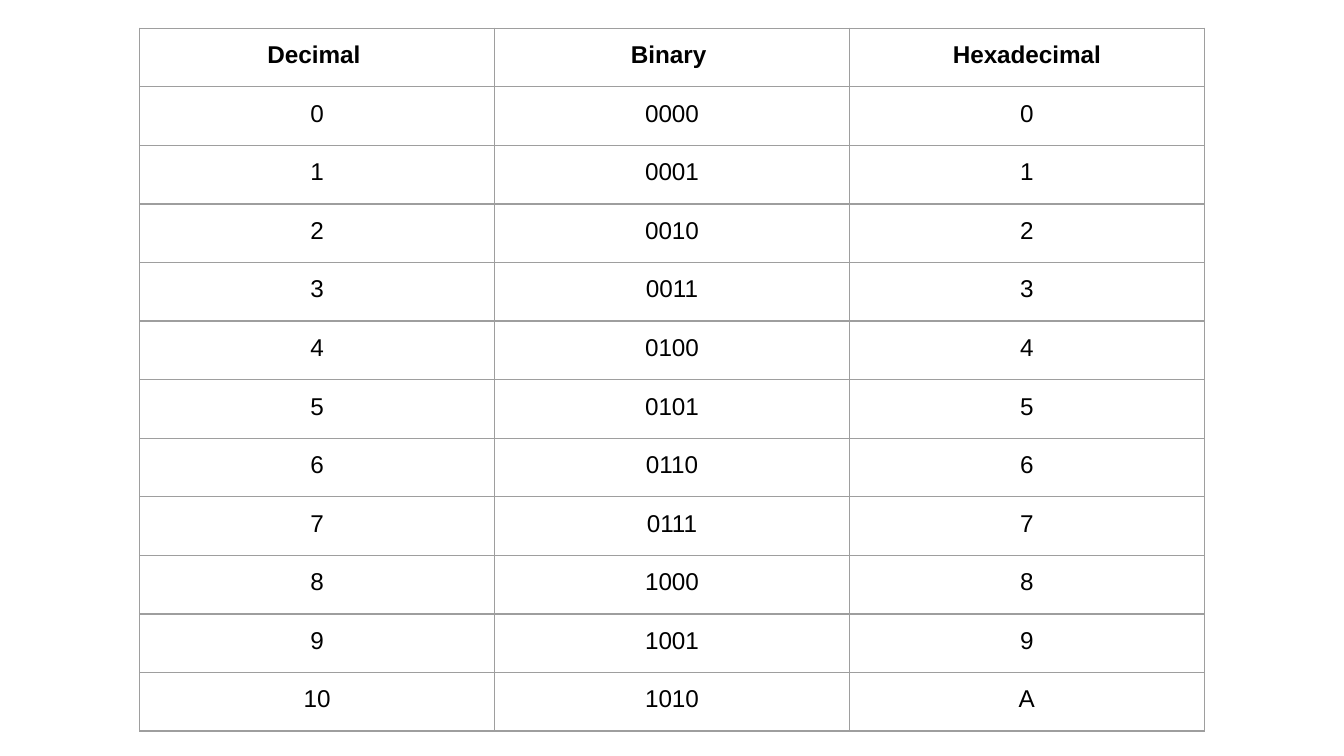
import dataclasses

import lxml.etree
import pptx
import pptx.dml.color
import pptx.enum.text
import pptx.oxml.ns
import pptx.slide
import pptx.table
import pptx.util

Inches = pptx.util.Inches
Pt = pptx.util.Pt

COLORS = {"text": "000000", "border": "9E9E9E"}
FONT = "Arial"
SLIDE_WIDTH = 10
HEADINGS = ("Decimal ", "Binary ", "Hexadecimal")
LAST_NUMBER = 10


@dataclasses.dataclass
class TableRow:
    texts: tuple[str, ...]
    bold: bool = False


@dataclasses.dataclass
class Grid:
    left: float
    top: float
    column_width: float
    height: float


def add_borders(cell: pptx.table._Cell) -> None:
    """Draw a thin line on all four sides; lines must precede the fill."""
    properties = cell._tc.get_or_add_tcPr()
    for position, side in enumerate(("lnL", "lnR", "lnT", "lnB")):
        line = lxml.etree.Element(pptx.oxml.ns.qn(f"a:{side}"), w=str(Pt(0.75)))
        fill = lxml.etree.SubElement(line, pptx.oxml.ns.qn("a:solidFill"))
        lxml.etree.SubElement(
            fill, pptx.oxml.ns.qn("a:srgbClr"), val=COLORS["border"]
        )
        properties.insert(position, line)


def fill_cell(cell: pptx.table._Cell, text: str, bold: bool) -> None:
    cell.fill.background()
    cell.margin_left = cell.margin_right = Inches(0.1)
    cell.margin_top = cell.margin_bottom = Inches(0.1)
    add_borders(cell)
    para = cell.text_frame.paragraphs[0]
    para.alignment = pptx.enum.text.PP_ALIGN.CENTER
    span = para.add_run()
    span.text = text
    span.font.name = FONT
    span.font.size = Pt(13)
    span.font.bold = bold
    span.font.color.rgb = pptx.dml.color.RGBColor.from_string(COLORS["text"])


def add_number_table(
    page: pptx.slide.Slide, rows: list[TableRow], grid: Grid
) -> None:
    column_count = len(rows[0].texts)
    table = page.shapes.add_table(
        len(rows),
        column_count,
        Inches(grid.left),
        Inches(grid.top),
        Inches(grid.column_width * column_count),
        Inches(grid.height),
    ).table
    table.first_row = False
    table.horz_banding = False
    for column in table.columns:
        column.width = Inches(grid.column_width)
    for row_index, row in enumerate(rows):
        table.rows[row_index].height = Inches(grid.height / len(rows))
        for column_index, text in enumerate(row.texts):
            fill_cell(table.cell(row_index, column_index), text, row.bold)


def main() -> None:
    deck = pptx.Presentation()
    deck.slide_width = Inches(SLIDE_WIDTH)
    deck.slide_height = Inches(SLIDE_WIDTH * 9 / 16)
    page = deck.slides.add_slide(deck.slide_layouts[6])
    rows = [TableRow(HEADINGS, bold=True)]
    rows += [
        TableRow((str(number), f"{number:04b}", f"{number:X}"))
        for number in range(LAST_NUMBER + 1)
    ]
    add_number_table(
        page, rows, Grid(left=1.04, top=0.21, column_width=2.64, height=5.23)
    )
    deck.save("out.pptx")


if __name__ == "__main__":
    main()
